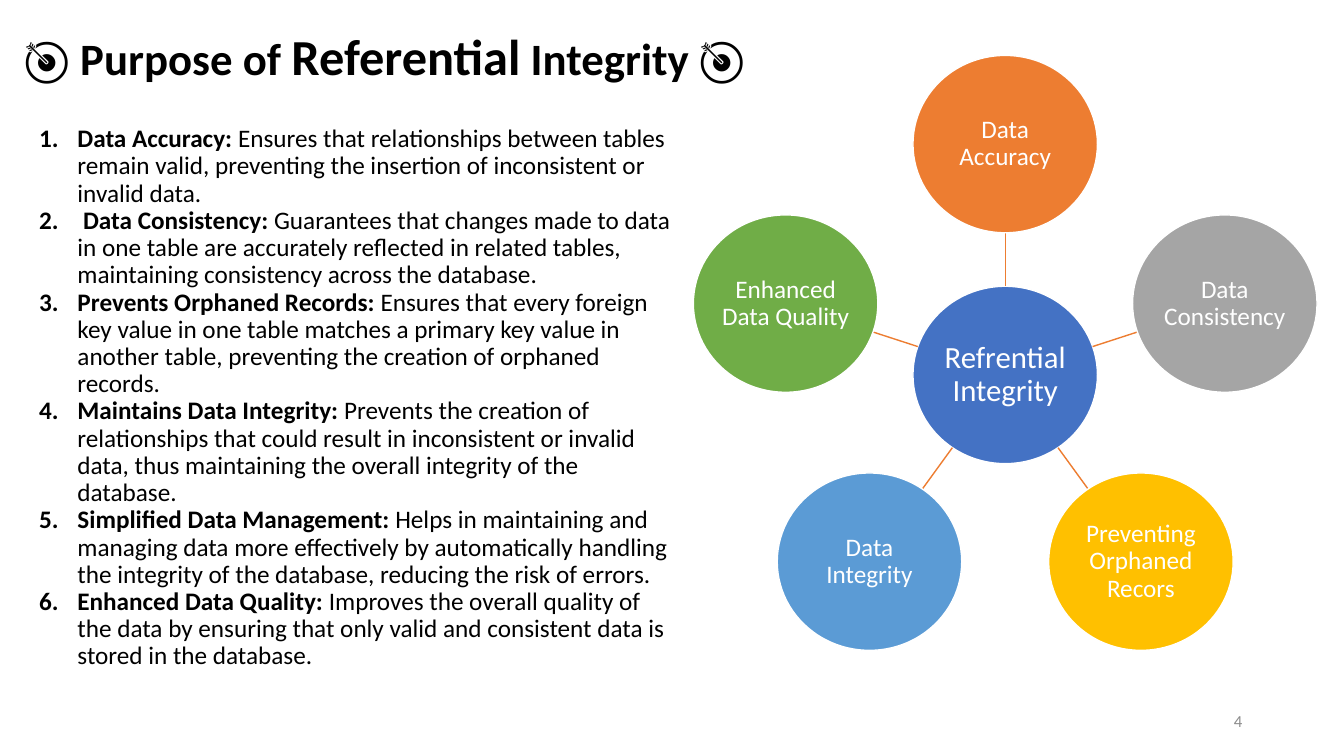
import math
from dataclasses import dataclass

import pptx
import pptx.util
import pptx.dml.color
import pptx.enum.shapes
import pptx.enum.text
import pptx.oxml
import pptx.oxml.ns

TITLE = [
    ("🎯 ", "icon"),
    ("Purpose of ", "title"),
    ("Referential", "title_key"),
    (" Integrity ", "title"),
    ("🎯", "icon"),
]
PURPOSES = [
    ("Data Accuracy:", " Ensures that relationships between tables remain valid, "
     "preventing the insertion of inconsistent or invalid data."),
    (" Data Consistency:", " Guarantees that changes made to data in one table are "
     "accurately reflected in related tables, maintaining consistency across the database."),
    ("Prevents Orphaned Records:", " Ensures that every foreign key value in one table matches "
     "a primary key value in another table, preventing the creation of orphaned records."),
    ("Maintains Data Integrity:", " Prevents the creation of relationships that could result in "
     "inconsistent or invalid data, thus maintaining the overall integrity of the database."),
    ("Simplified Data Management: ", "Helps in maintaining and managing data more effectively by "
     "automatically handling the integrity of the database, reducing the risk of errors."),
    ("Enhanced Data Quality:", " Improves the overall quality of the data by ensuring that only "
     "valid and consistent data is stored in the database."),
]
HUB = ("Refrential Integrity", "4472C4")
SATELLITES = [
    ("Data Accuracy", "ED7D31"),
    ("Data Consistency", "A5A5A5"),
    ("Preventing Orphaned Recors", "FFC000"),
    ("Data Integrity", "5B9BD5"),
    ("Enhanced Data Quality", "70AD47"),
]
PAGE_NUMBER = "4"


@dataclass(frozen=True)
class Theme:
    ink: str = "000000"
    light: str = "FFFFFF"
    muted: str = "8C8C8C"
    spoke: str = "ED7D31"
    font: str = "Calibri"
    icon_font: str = "Karla"
    title: int = 32
    title_key: int = 36
    body: int = 18
    hub: int = 22
    number: int = 12
    line_spacing: float = 0.9


THEME = Theme()
WIDTH, HEIGHT = 13.33, 7.5
TITLE_AREA = (0.14, 0.14, 7.9, 0.77)
BODY_AREA = (0.29, 1.2, 6.5, 5.95)
NUMBER_AREA = (9.42, 6.95, 3, 0.4)
CENTER_X, CENTER_Y = 9.97, 3.72
RING = 2.29
NODE_WIDTH, NODE_HEIGHT = 1.83, 1.76
INDENT = 0.38

Inches = pptx.util.Inches
Align = pptx.enum.text.PP_ALIGN
Anchor = pptx.enum.text.MSO_ANCHOR


def color(code):
    return pptx.dml.color.RGBColor.from_string(code)


def style(span, size, code, bold=False, font=THEME.font):
    span.font.name = font
    span.font.size = pptx.util.Pt(size)
    span.font.bold = bold
    span.font.color.rgb = color(code)


def add_span(para, text, *look):
    span = para.add_run()
    span.text = text
    style(span, *look)


def add_box(page, area, anchor):
    frame = page.shapes.add_textbox(*map(Inches, area)).text_frame
    frame.word_wrap = True
    frame.vertical_anchor = anchor
    return frame


def add_title(page):
    para = add_box(page, TITLE_AREA, Anchor.BOTTOM).paragraphs[0]
    para.line_spacing = THEME.line_spacing
    looks = {
        "icon": (THEME.title, THEME.ink, False, THEME.icon_font),
        "title": (THEME.title, THEME.ink, True),
        "title_key": (THEME.title_key, THEME.ink, True),
    }
    for text, look in TITLE:
        add_span(para, text, *looks[look])


def number_paragraph(para):
    properties = para._p.get_or_add_pPr()
    properties.set("marL", str(Inches(INDENT)))
    properties.set("indent", str(-Inches(INDENT)))
    namespace = pptx.oxml.ns.nsdecls("a")
    for markup in (f'<a:buFont {namespace} typeface="+mj-lt"/>',
                   f'<a:buAutoNum {namespace} type="arabicPeriod"/>'):
        properties.append(pptx.oxml.parse_xml(markup))


def add_purposes(page):
    frame = add_box(page, BODY_AREA, Anchor.TOP)
    for index, (heading, detail) in enumerate(PURPOSES):
        para = frame.add_paragraph() if index else frame.paragraphs[0]
        para.line_spacing = THEME.line_spacing
        number_paragraph(para)
        add_span(para, heading, THEME.body, THEME.ink, True)
        add_span(para, detail, THEME.body, THEME.ink)


def add_node(page, x, y, label, fill, size):
    node = page.shapes.add_shape(
        pptx.enum.shapes.MSO_SHAPE.OVAL,
        *map(Inches, (x - NODE_WIDTH / 2, y - NODE_HEIGHT / 2, NODE_WIDTH, NODE_HEIGHT)))
    node.shadow.inherit = False
    node.fill.solid()
    node.fill.fore_color.rgb = color(fill)
    node.line.color.rgb = color(THEME.light)
    node.line.width = pptx.util.Pt(1)
    frame = node.text_frame
    frame.word_wrap = True
    frame.vertical_anchor = Anchor.MIDDLE
    frame.margin_left = frame.margin_right = Inches(0.01)
    frame.margin_top = frame.margin_bottom = Inches(0.01)
    frame.text = label
    para = frame.paragraphs[0]
    para.alignment = Align.CENTER
    para.line_spacing = THEME.line_spacing
    style(para.runs[0], size, THEME.light)


def add_spoke(page, start, end):
    spoke = page.shapes.add_connector(
        pptx.enum.shapes.MSO_CONNECTOR.STRAIGHT, *map(Inches, start + end))
    spoke.line.color.rgb = color(THEME.spoke)
    spoke.line.width = pptx.util.Pt(1)
    spoke._element.spPr.append(
        pptx.oxml.parse_xml(f'<a:effectLst {pptx.oxml.ns.nsdecls("a")}/>'))


def add_wheel(page):
    add_node(page, CENTER_X, CENTER_Y, *HUB, THEME.hub)
    for index, (label, fill) in enumerate(SATELLITES):
        angle = math.tau * index / len(SATELLITES)
        across, up = math.sin(angle), math.cos(angle)
        edge = 1 / math.hypot(across / (NODE_WIDTH / 2), up / (NODE_HEIGHT / 2))
        start, end, middle = (
            (CENTER_X + reach * across, CENTER_Y - reach * up)
            for reach in (edge, RING - edge, RING))
        add_spoke(page, start, end)
        add_node(page, *middle, label, fill, THEME.body)


def add_page_number(page):
    para = add_box(page, NUMBER_AREA, Anchor.MIDDLE).paragraphs[0]
    para.alignment = Align.RIGHT
    add_span(para, PAGE_NUMBER, THEME.number, THEME.muted)


def main():
    deck = pptx.Presentation()
    deck.slide_width, deck.slide_height = Inches(WIDTH), Inches(HEIGHT)
    page = deck.slides.add_slide(deck.slide_layouts[6])
    add_title(page)
    add_wheel(page)
    add_purposes(page)
    add_page_number(page)
    deck.save("out.pptx")


if __name__ == "__main__":
    main()
